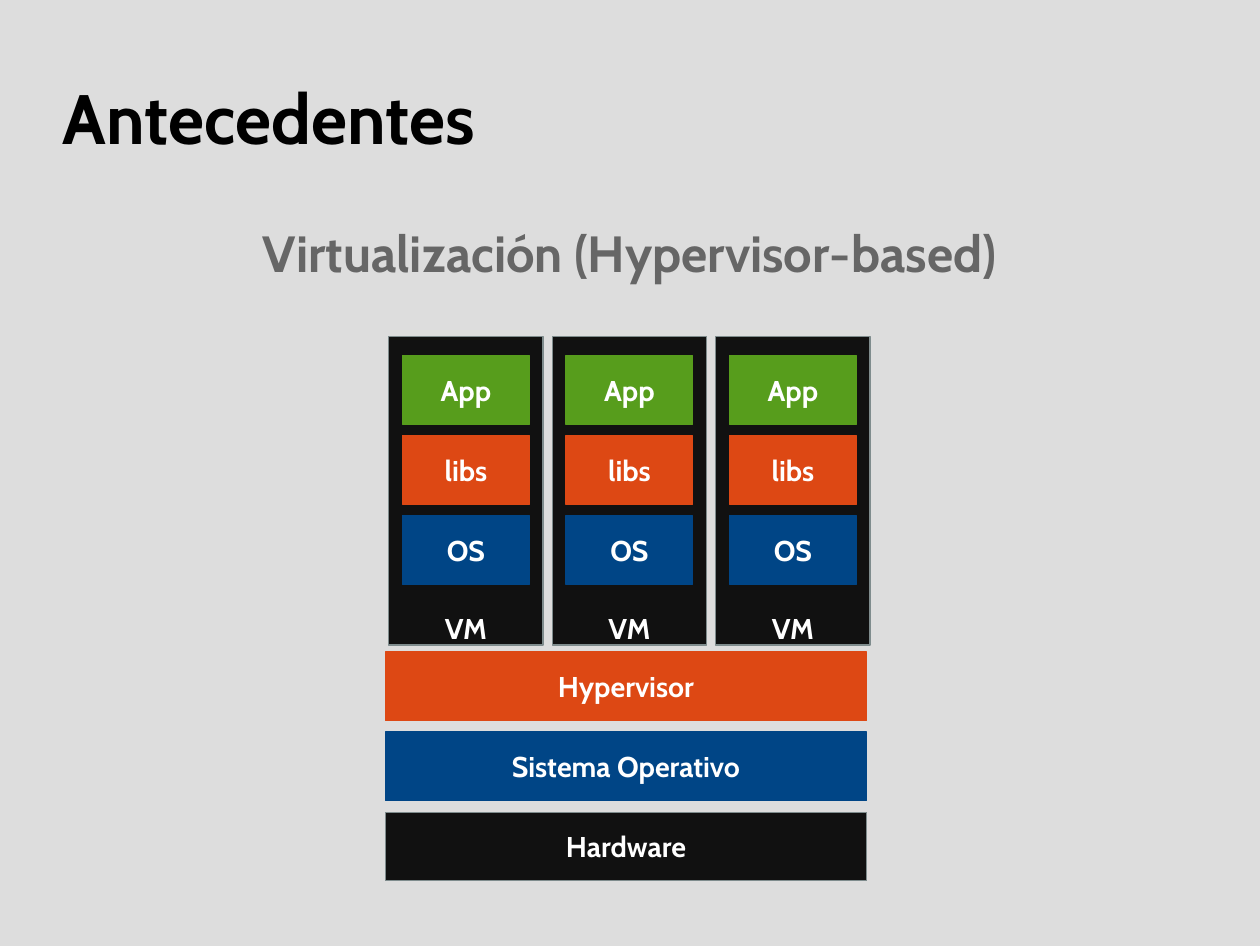
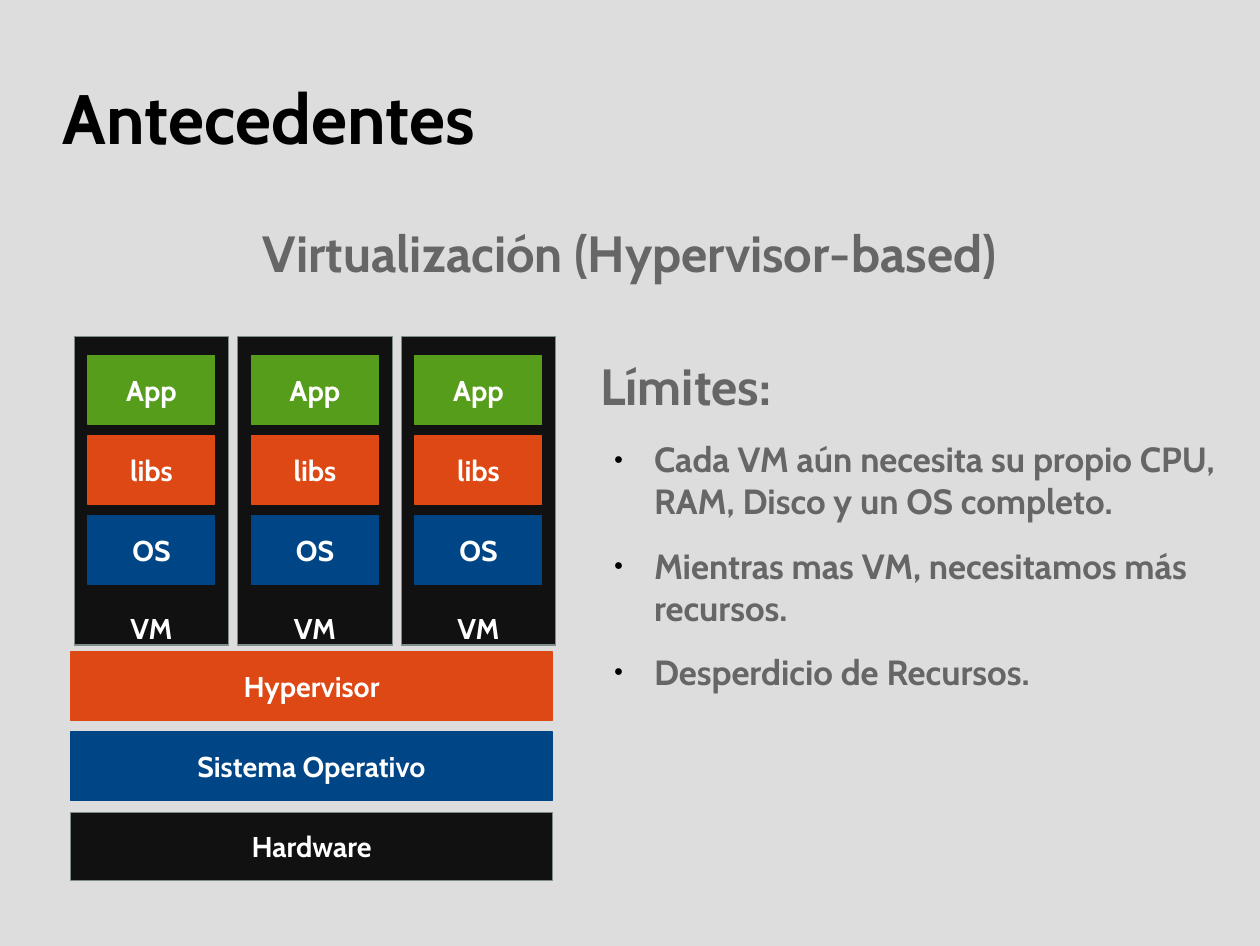
import pptx
import pptx.util
import pptx.dml.color
import pptx.enum.shapes
import pptx.enum.text
import pptx.oxml.ns
import lxml.etree

Inches = pptx.util.Inches
Pt = pptx.util.Pt
ALIGN = pptx.enum.text.PP_ALIGN
ANCHOR = pptx.enum.text.MSO_ANCHOR

HUES = {
    "back": "DDDDDD",
    "title": "000000",
    "text": "666666",
    "white": "FFFFFF",
    "black": "111111",
    "edge": "7F8C8D",
    "blue": "004586",
    "orange": "DD4814",
    "green": "579D1C",
}


def tint(name):
    return pptx.dml.color.RGBColor.from_string(HUES[name])


def assign(item, values):
    for name, value in values.items():
        setattr(item, name, value)


class Deck:
    font = {"name": "Cabin", "bold": True}
    bare = {
        "margin_left": 0,
        "margin_right": 0,
        "margin_top": 0,
        "margin_bottom": 0,
        "word_wrap": True,
        "auto_size": pptx.enum.text.MSO_AUTO_SIZE.NONE,
    }

    def __init__(self, width, height):
        self.prs = pptx.Presentation()
        self.prs.slide_width = Inches(width)
        self.prs.slide_height = Inches(height)
        fill = self.prs.slide_master.background.fill
        fill.solid()
        fill.fore_color.rgb = tint("back")
        self.slide = None

    def start(self, layout, title, heading):
        layouts = self.prs.slide_layouts
        self.slide = self.prs.slides.add_slide(layouts.get_by_name(layout))
        frame = self.holder(0, 0.55, 0.33, 9.92, 1.38)
        frame.vertical_anchor = ANCHOR.MIDDLE
        self.label(frame.paragraphs[0], title, 44, "title", ALIGN.LEFT)
        frame = self.holder(1, 0.55, 1.94, 9.92, 4.8)
        self.item(frame.paragraphs[0], heading, 32, ALIGN.CENTER)

    def holder(self, index, left, top, width, height):
        shape = self.slide.placeholders[index]
        assign(shape, {
            "left": Inches(left),
            "top": Inches(top),
            "width": Inches(width),
            "height": Inches(height),
        })
        assign(shape.text_frame, self.bare)
        return shape.text_frame

    def label(self, para, text, size, hue, align):
        para.alignment = align
        run = para.add_run()
        run.text = text
        assign(run.font, {**self.font, "size": Pt(size)})
        run.font.color.rgb = tint(hue)

    def item(self, para, text, size, align=ALIGN.LEFT, mark=None):
        props = para._p.get_or_add_pPr()
        props.set("marL", str(Inches(0.47) if mark else 0))
        props.set("indent", str(Inches(-0.35) if mark else 0))
        tag = pptx.oxml.ns.qn
        if mark:
            color = lxml.etree.SubElement(props, tag("a:buClr"))
            lxml.etree.SubElement(color, tag("a:srgbClr"), val=HUES["title"])
            lxml.etree.SubElement(props, tag("a:buSzPct"), val="45000")
            lxml.etree.SubElement(props, tag("a:buChar"), char=mark)
        else:
            lxml.etree.SubElement(props, tag("a:buNone"))
        assign(para, {"space_before": Pt(0), "space_after": Pt(14.1)})
        self.label(para, text, size, "text", align)

    def points(self, title, items):
        frame = self.holder(2, 5.25, 3.1, 5.4, 3.5)
        self.item(frame.paragraphs[0], title, 32)
        for text in items:
            self.item(frame.add_paragraph(), text, 22, mark="●")

    def block(self, text, hue, left, top, width, height=0.6, low=False):
        shape = self.slide.shapes.add_shape(
            pptx.enum.shapes.MSO_SHAPE.RECTANGLE,
            Inches(left), Inches(top), Inches(width), Inches(height))
        shape.shadow.inherit = False
        shape.fill.solid()
        shape.fill.fore_color.rgb = tint(hue)
        shape.line.color.rgb = tint("edge" if hue == "black" else hue)
        shape.line.width = 0
        frame = shape.text_frame
        assign(frame, {
            "word_wrap": False,
            "vertical_anchor": ANCHOR.BOTTOM if low else ANCHOR.MIDDLE,
            "margin_bottom": Inches(0 if low else 0.05),
        })
        self.label(frame.paragraphs[0], text, 18, "white", ALIGN.CENTER)

    def stack(self, left):
        step = 0.7
        base = [("Hypervisor", "orange"), ("Sistema Operativo", "blue"),
                ("Hardware", "black")]
        parts = [("App", "green"), ("libs", "orange"), ("OS", "blue")]
        for row, (text, hue) in enumerate(base):
            self.block(text, hue, left, 5.7 + row * step, 4.21)
        for col in range(3):
            edge = left + 0.03 + col * 1.43
            self.block("VM", "black", edge, 2.94, 1.35, 2.7, low=True)
            for row, (text, hue) in enumerate(parts):
                self.block(text, hue, edge + 0.12, 3.11 + row * step, 1.11)


def main():
    deck = Deck(11.02, 8.27)
    title = "Antecedentes"
    heading = "Virtualización (Hypervisor-based)"

    deck.start("Title and Content", title, heading)
    deck.stack(3.37)

    deck.start("Two Content", title, heading)
    deck.stack(0.62)
    deck.points("Límites:", [
        "Cada VM aún necesita su propio CPU, RAM, Disco y un OS completo.",
        "Mientras mas VM, necesitamos más recursos.",
        "Desperdicio de Recursos.",
    ])
    deck.prs.save("out.pptx")


if __name__ == "__main__":
    main()
